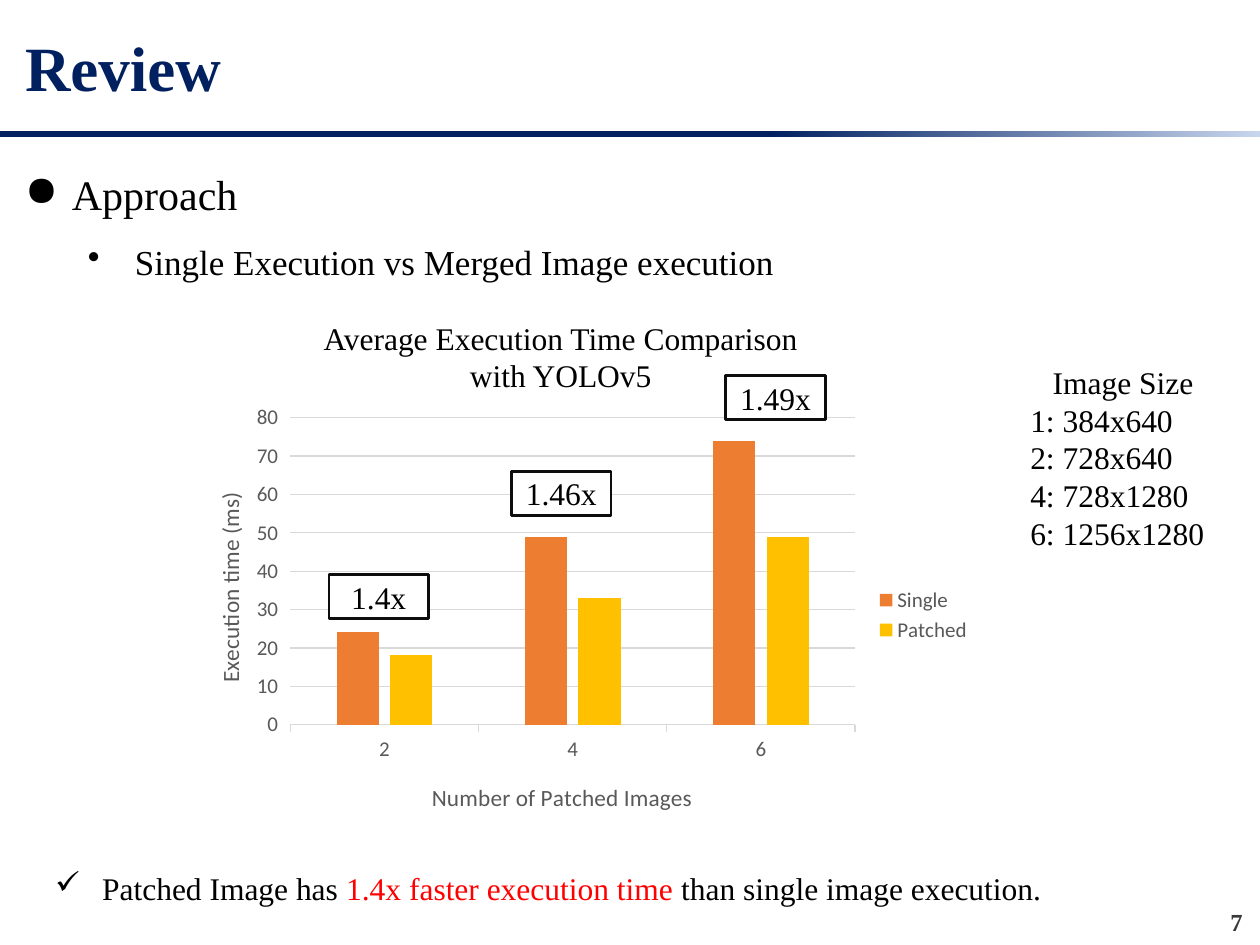
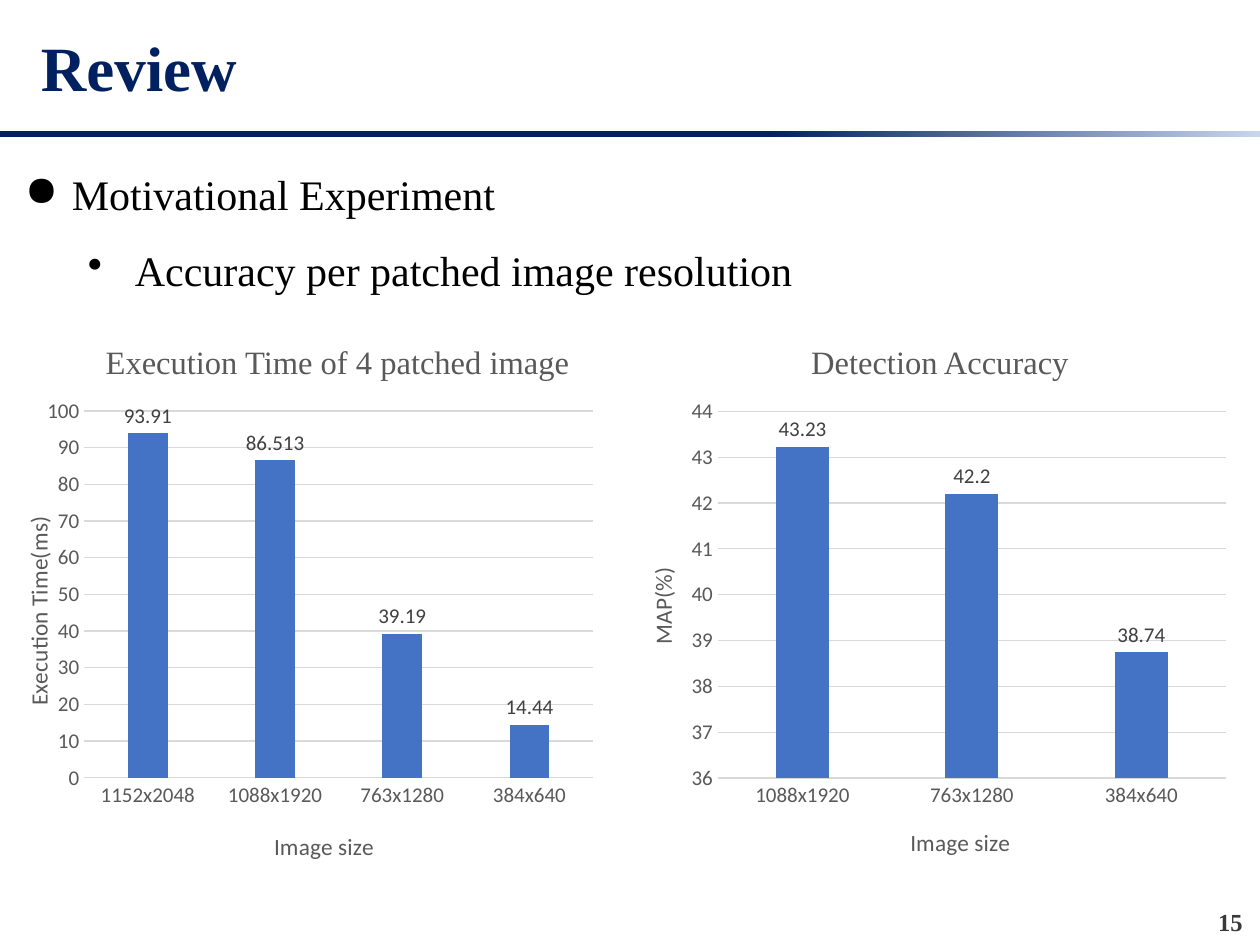
"""Build two review slides that compare execution time and detection accuracy."""
from pptx import Presentation
from pptx.chart.data import CategoryChartData
from pptx.dml.color import RGBColor
from pptx.enum.chart import XL_CHART_TYPE, XL_LABEL_POSITION, XL_LEGEND_POSITION, XL_TICK_MARK
from pptx.enum.shapes import MSO_SHAPE
from pptx.enum.text import MSO_ANCHOR, PP_ALIGN
from pptx.oxml import parse_xml
from pptx.oxml.ns import nsdecls, qn
from pptx.oxml.xmlchemy import OxmlElement
from pptx.util import Cm, Pt

COLORS = {
    "navy": "002060", "pale": "C7D5ED", "page": "3B3838", "text": "000000",
    "accent": "FF0000", "gray": "595959", "label": "404040", "grid": "D9D9D9",
    "white": "FFFFFF", "outline": "0D0D0D",
    "orange": "ED7D31", "yellow": "FFC000", "blue": "4472C4",
}
SERIF = "Times New Roman"
SANS = "Calibri"
FONTS = {
    "title": {"name": SERIF, "size": Pt(36), "bold": True, "color": "navy"},
    "page": {"name": SERIF, "size": Pt(14), "bold": True, "color": "page"},
    "topic": {"name": SERIF, "size": Pt(24), "color": "text"},
    "subtopic": {"name": SERIF, "size": Pt(20), "color": "text"},
    "body": {"name": SERIF, "size": Pt(18), "color": "text"},
    "highlight": {"name": SERIF, "size": Pt(18), "color": "accent"},
    "caption": {"name": SERIF, "size": Pt(18.6), "color": "gray"},
    "tick": {"name": SANS, "size": Pt(12), "color": "gray"},
    "axis_title": {"name": SANS, "size": Pt(13.3), "bold": False, "color": "gray"},
    "value": {"name": SANS, "size": Pt(12), "color": "label"},
}
BULLETS = {"●": (0, 0.95), "•": (1, 2.22), "✓": (0, 0.95)}
HANGING = 0.95

SLIDES = [
    {
        "title": "Review", "title_left": 0.25, "page": "7",
        "texts": [
            {"box": (0.25, 2.77, 24.71, 2.92), "paragraphs": [
                {"bullet": "●", "runs": [("Approach", "topic")]},
                {"bullet": "•", "runs": [("Single Execution vs Merged Image execution", "subtopic")]},
            ]},
            {"box": (0.86, 17.02, 20.85, 1.27), "paragraphs": [
                {"bullet": "✓", "runs": [
                    ("Patched Image has ", "body"),
                    ("1.4x faster execution time ", "highlight"),
                    ("than single image execution.", "body"),
                ]},
            ]},
            {"box": (5.97, 6.3, 10.67, 1.8), "paragraphs": [
                {"align": PP_ALIGN.CENTER,
                 "runs": [("Average Execution Time Comparison with YOLOv5", "body")]},
            ]},
            {"box": (20.52, 7.19, 4.24, 4.11), "paragraphs": [
                {"align": PP_ALIGN.CENTER, "runs": [("Image Size", "body")]},
                *({"runs": [(size, "body")]} for size in (
                    "1: 384x640", "2: 728x640", "4: 728x1280", "6: 1256x1280")),
            ]},
        ],
        "charts": [
            {"box": (3.58, 7.98, 16.26, 8.84), "categories": ["2", "4", "6"],
             "series": [("Single", [24, 49, 74], "orange"), ("Patched", [18, 33, 49], "yellow")],
             "plot": (0.14, 0.05, 0.7, 0.7), "scale": (0, 80, 10),
             "tick_mark": XL_TICK_MARK.OUTSIDE, "legend": True, "values": False,
             "category_title": ("Number of Patched Images", (0.31, 0.87)),
             "value_title": ("Execution time (ms)", (0.04, 0.21))},
        ],
        "speedups": [("1.4x", 6.63, 11.58), ("1.46x", 10.31, 9.5), ("1.49x", 14.63, 7.57)],
    },
    {
        "title": "Review", "title_left": 0.57, "page": "15",
        "texts": [
            {"box": (0.25, 2.77, 24.71, 3.15), "paragraphs": [
                {"bullet": "●", "runs": [("Motivational Experiment", "topic")]},
                {"bullet": "•", "runs": [("Accuracy per patched image resolution", "topic")]},
            ]},
            {"box": (0.39, 6.76, 12.83, 1.04), "paragraphs": [
                {"align": PP_ALIGN.CENTER,
                 "runs": [("Execution Time of 4 patched image", "caption")]},
            ]},
            {"box": (14.99, 6.76, 7.92, 1.04), "paragraphs": [
                {"align": PP_ALIGN.CENTER, "runs": [("Detection Accuracy", "caption")]},
            ]},
        ],
        "charts": [
            {"box": (0.25, 7.8, 12.07, 9.73),
             "categories": ["1152x2048", "1088x1920", "763x1280", "384x640"],
             "series": [("Series 1", [93.91, 86.513, 39.19, 14.44], "blue")],
             "plot": (0.12, 0.05, 0.85, 0.76), "scale": (0, 100, 10),
             "tick_mark": XL_TICK_MARK.NONE, "legend": False, "values": True,
             "category_title": ("Image size", (0.43, 0.91)),
             "value_title": ("Execution Time(ms)", (0.01, 0.26))},
            {"box": (12.32, 7.8, 12.65, 9.86),
             "categories": ["1088x1920", "763x1280", "384x640"],
             "series": [("Series 1", [43.23, 42.2, 38.74], "blue")],
             "plot": (0.17, 0.05, 0.81, 0.75), "scale": (36, 44, 1),
             "tick_mark": XL_TICK_MARK.NONE, "legend": False, "values": True,
             "category_title": ("Image size", (0.47, 0.89)),
             "value_title": ("MAP(%)", (0.05, 0.36))},
        ],
        "speedups": [],
    },
]


def rgb(name):
    return RGBColor.from_string(COLORS[name])


def set_attributes(target, values):
    for name, value in values.items():
        setattr(target, name, value)


def format_font(font, style):
    values = dict(FONTS[style])
    font.color.rgb = rgb(values.pop("color"))
    set_attributes(font, values)


def lengths(box):
    return [Cm(value) for value in box]


def fill_solid(fill, color):
    fill.solid()
    fill.fore_color.rgb = rgb(color)


def add_bullet(paragraph, character):
    level, margin = BULLETS[character]
    set_attributes(paragraph, {"level": level, "line_spacing": 1.5})
    properties = paragraph._p.get_or_add_pPr()
    properties.set("marL", str(Cm(margin)))
    properties.set("indent", str(-Cm(HANGING)))
    bullet = OxmlElement("a:buChar")
    bullet.set("char", character)
    properties.append(bullet)


def write_paragraphs(frame, paragraphs):
    frame.word_wrap = True
    for index, content in enumerate(paragraphs):
        paragraph = frame.add_paragraph() if index else frame.paragraphs[0]
        paragraph.alignment = content.get("align", PP_ALIGN.LEFT)
        if "bullet" in content:
            add_bullet(paragraph, content["bullet"])
        for text, style in content["runs"]:
            run = paragraph.add_run()
            run.text = text
            format_font(run.font, style)


def add_text(slide, box, paragraphs):
    write_paragraphs(slide.shapes.add_textbox(*lengths(box)).text_frame, paragraphs)


def add_frame(slide, content):
    band = slide.shapes.add_shape(MSO_SHAPE.RECTANGLE, *lengths((0, 2.64, 25.4, 0.13)))
    band.shadow.inherit = False
    band.line.fill.background()
    band.fill.gradient()
    band.fill.gradient_angle = 0
    for stop, position, color in zip(band.fill.gradient_stops, (0.61, 1), ("navy", "pale")):
        stop.position = position
        stop.color.rgb = rgb(color)

    title = slide.shapes.title
    left, top, width, height = lengths((content["title_left"], 0.33, 24.13, 2.03))
    set_attributes(title, {"left": left, "top": top, "width": width, "height": height})
    title.text_frame.vertical_anchor = MSO_ANCHOR.MIDDLE
    write_paragraphs(title.text_frame, [{"runs": [(content["title"], "title")]}])
    add_text(slide, (24.23, 18.16, 1.07, 0.76),
             [{"align": PP_ALIGN.RIGHT, "runs": [(content["page"], "page")]}])


def set_layout(element, index, values, inner=False):
    existing = element.find(qn("c:layout"))
    if existing is not None:
        element.remove(existing)
    target = '<c:layoutTarget val="inner"/>' if inner else ""
    modes = "".join(f'<c:{axis}Mode val="edge"/>' for axis in "xy")
    sizes = "".join(f'<c:{name} val="{value}"/>' for name, value in zip("xywh", values))
    element.insert(index, parse_xml(
        f'<c:layout {nsdecls("c")}><c:manualLayout>{target}{modes}{sizes}'
        "</c:manualLayout></c:layout>"))


def format_axis(axis, title, tick_mark):
    text, position = title
    axis.major_tick_mark = tick_mark
    format_font(axis.tick_labels.font, "tick")
    frame = axis.axis_title.text_frame
    run = frame.paragraphs[0].add_run()
    run.text = text
    format_font(run.font, "axis_title")
    set_layout(axis.axis_title._element, 1, position)
    return frame


def format_line(line, color, width):
    line.color.rgb = rgb(color)
    line.width = Pt(width)


def add_column_chart(slide, content):
    data = CategoryChartData()
    data.categories = content["categories"]
    for name, values, _ in content["series"]:
        data.add_series(name, values)
    chart = slide.shapes.add_chart(
        XL_CHART_TYPE.COLUMN_CLUSTERED, *lengths(content["box"]), data).chart
    set_attributes(chart, {"has_title": False, "has_legend": content["legend"]})
    set_attributes(chart.font, {"name": SANS, "size": Pt(10)})
    if content["legend"]:
        set_attributes(chart.legend, {
            "position": XL_LEGEND_POSITION.RIGHT, "include_in_layout": False})
        format_font(chart.legend.font, "tick")

    plot = chart.plots[0]
    set_attributes(plot, {"gap_width": 219, "overlap": -27, "vary_by_categories": False})
    for series, (_, _, color) in zip(plot.series, content["series"]):
        fill_solid(series.format.fill, color)
    if content["values"]:
        plot.has_data_labels = True
        set_attributes(plot.data_labels, {
            "show_value": True, "position": XL_LABEL_POSITION.OUTSIDE_END})
        format_font(plot.data_labels.font, "value")

    category_axis, value_axis = chart.category_axis, chart.value_axis
    format_axis(category_axis, content["category_title"], content["tick_mark"])
    format_line(category_axis.format.line, "grid", 0.75)
    frame = format_axis(value_axis, content["value_title"], content["tick_mark"])
    frame._txBody.find(qn("a:bodyPr")).set("rot", "-5400000")
    value_axis.format.line.fill.background()
    format_line(value_axis.major_gridlines.format.line, "grid", 0.75)
    set_attributes(value_axis, dict(zip(
        ("minimum_scale", "maximum_scale", "major_unit"), content["scale"])))
    set_layout(chart._chartSpace.chart.plotArea, 0, content["plot"], inner=True)


def add_speedup(slide, text, left, top):
    shape = slide.shapes.add_shape(MSO_SHAPE.RECTANGLE, *lengths((left, top, 2.01, 0.89)))
    shape.shadow.inherit = False
    fill_solid(shape.fill, "white")
    format_line(shape.line, "outline", 1.5)
    shape.text_frame.vertical_anchor = MSO_ANCHOR.MIDDLE
    write_paragraphs(shape.text_frame, [
        {"align": PP_ALIGN.CENTER, "runs": [(text, "body")]}])


def main():
    presentation = Presentation()
    set_attributes(presentation, {"slide_width": Cm(25.4), "slide_height": Cm(19.05)})
    for content in SLIDES:
        slide = presentation.slides.add_slide(presentation.slide_layouts[5])
        add_frame(slide, content)
        for chart in content["charts"]:
            add_column_chart(slide, chart)
        for text in content["texts"]:
            add_text(slide, text["box"], text["paragraphs"])
        for speedup in content["speedups"]:
            add_speedup(slide, *speedup)
    presentation.save("out.pptx")


if __name__ == "__main__":
    main()
